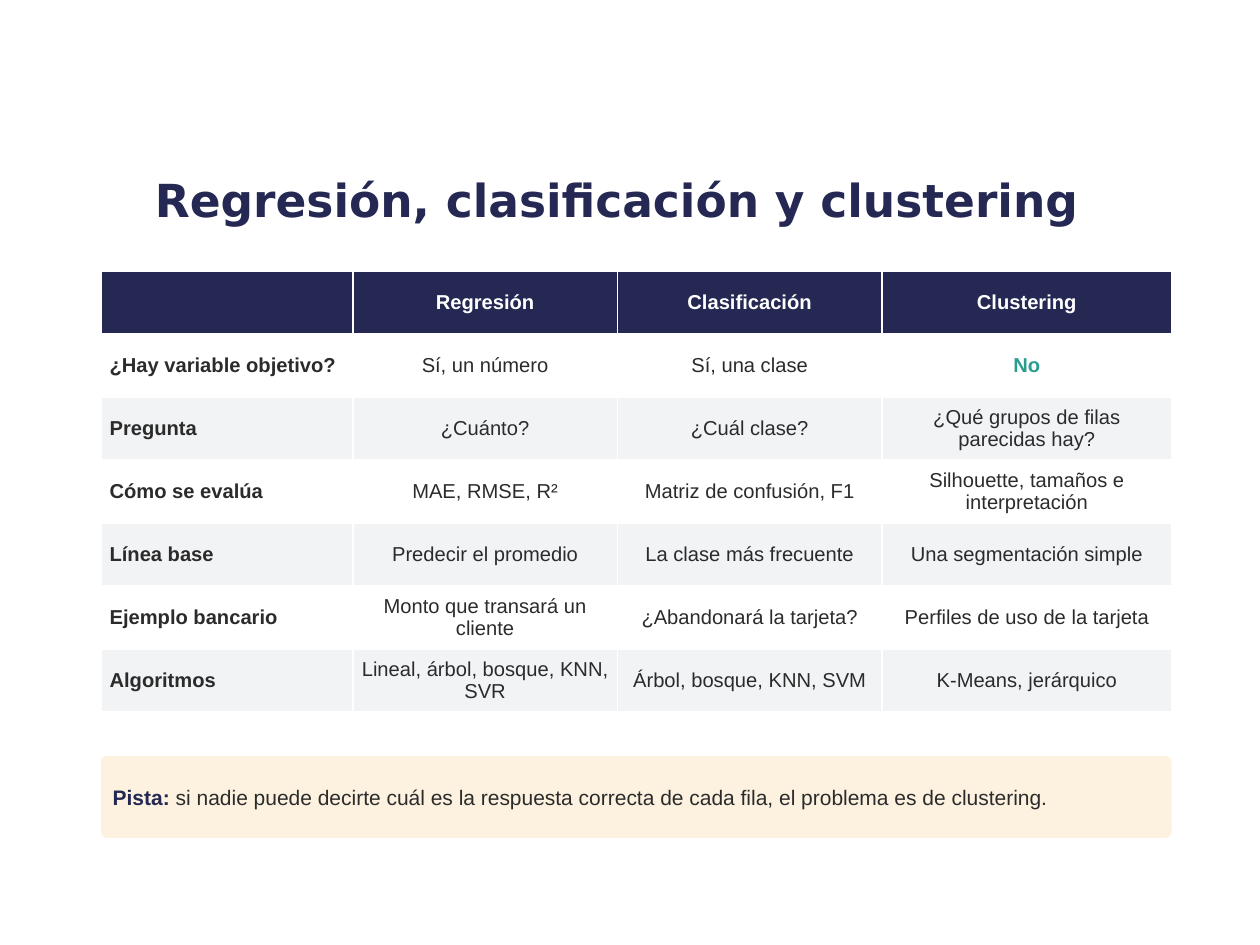
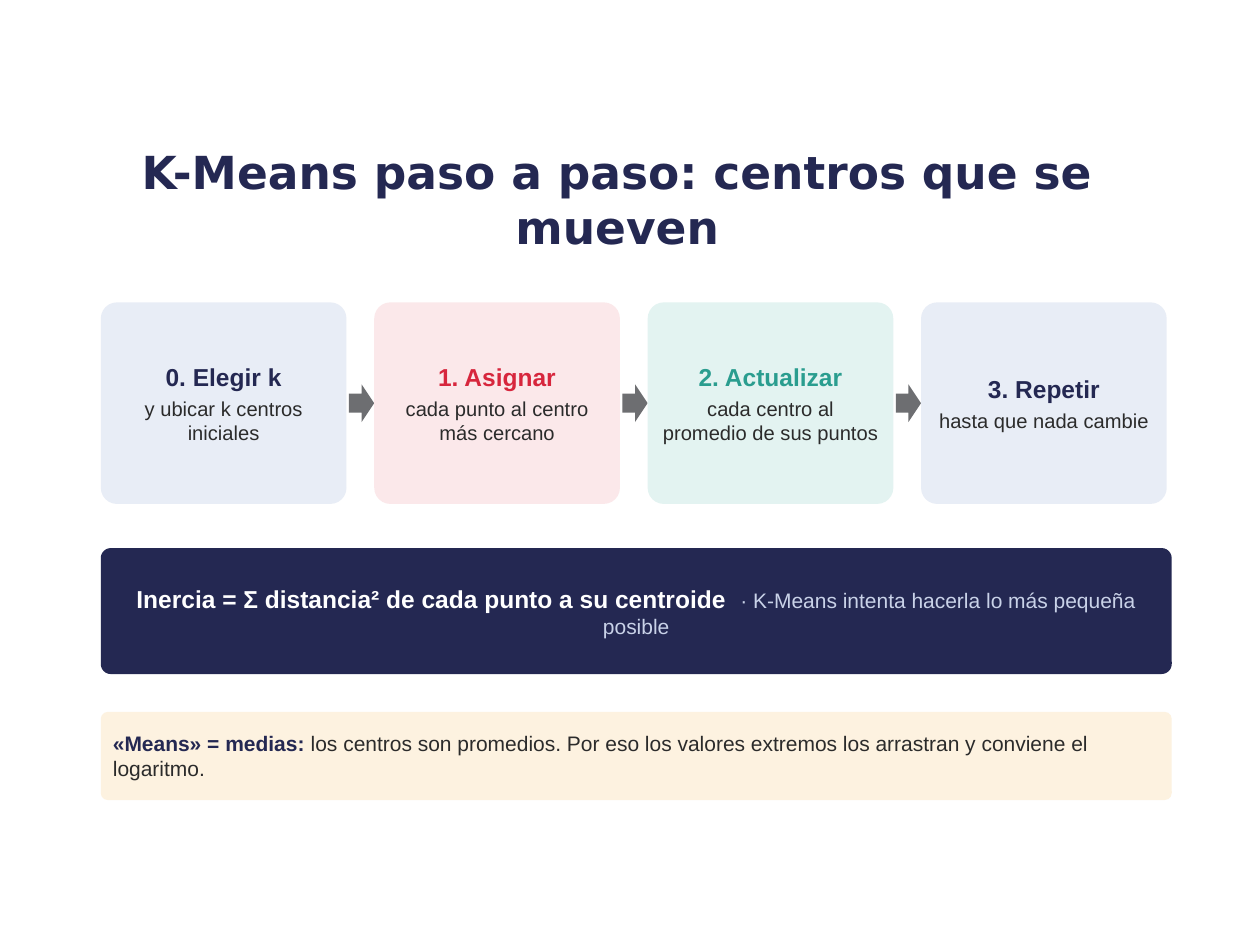
import pptx
import pptx.dml.color
import pptx.enum.shapes
import pptx.enum.text
import pptx.util

Pt = pptx.util.Pt
Color = pptx.dml.color.RGBColor
Shape = pptx.enum.shapes.MSO_SHAPE
Align = pptx.enum.text.PP_ALIGN
Anchor = pptx.enum.text.MSO_ANCHOR

# Shared colours
NAVY = Color(0x24, 0x28, 0x52)
INK = Color(0x2B, 0x2B, 0x2B)
WHITE = Color(0xFF, 0xFF, 0xFF)
TEAL = Color(0x2A, 0x9D, 0x8F)
RED = Color(0xD7, 0x26, 0x3D)
GREY = Color(0x6D, 0x6E, 0x71)
STRIPE = Color(0xF2, 0xF3, 0xF5)
CREAM = Color(0xFD, 0xF2, 0xE0)
PALE_BLUE = Color(0xE8, 0xED, 0xF6)
PALE_RED = Color(0xFB, 0xE8, 0xEA)
PALE_TEAL = Color(0xE3, 0xF3, 0xF1)
MIST = Color(0xC9, 0xD2, 0xE8)

# Shared layout and type
TITLE_FONT, BODY_FONT = "DejaVu Sans", "Arial"
LEFT, WIDTH = 57.6, 612
SMALL, NOTE, LARGE = 11.5, 12, 14

# Slide content
COLUMN_WIDTHS = [144, 151.2, 151.2, 165.6]
ROW_HEIGHT = 36
COMPARISON = [
    ["", "Regresión", "Clasificación", "Clustering"],
    ["¿Hay variable objetivo?", "Sí, un número", "Sí, una clase", "No"],
    ["Pregunta", "¿Cuánto?", "¿Cuál clase?", "¿Qué grupos de filas parecidas hay?"],
    ["Cómo se evalúa", "MAE, RMSE, R²", "Matriz de confusión, F1",
     "Silhouette, tamaños e interpretación"],
    ["Línea base", "Predecir el promedio", "La clase más frecuente", "Una segmentación simple"],
    ["Ejemplo bancario", "Monto que transará un cliente", "¿Abandonará la tarjeta?",
     "Perfiles de uso de la tarjeta"],
    ["Algoritmos", "Lineal, árbol, bosque, KNN, SVR", "Árbol, bosque, KNN, SVM",
     "K-Means, jerárquico"],
]
STEPS = [
    ("0. Elegir k", "y ubicar k centros iniciales", NAVY, PALE_BLUE),
    ("1. Asignar", "cada punto al centro más cercano", RED, PALE_RED),
    ("2. Actualizar", "cada centro al promedio de sus puntos", TEAL, PALE_TEAL),
    ("3. Repetir", "hasta que nada cambie", NAVY, PALE_BLUE),
]


def style_font(font, size, color, bold=False, name=BODY_FONT):
    font.name, font.size, font.bold = name, Pt(size), bold
    font.color.rgb = color


def add_title(page, text):
    box = page.shapes.add_textbox(Pt(54), Pt(84.96), Pt(597.6), Pt(57.6))
    frame = box.text_frame
    frame.word_wrap = True
    frame.vertical_anchor = Anchor.MIDDLE
    para = frame.paragraphs[0]
    para.text = text
    para.alignment = Align.CENTER
    style_font(para.font, 26, NAVY, True, TITLE_FONT)


def add_block(page, kind, left, top, width, height, fill):
    block = page.shapes.add_shape(kind, Pt(left), Pt(top), Pt(width), Pt(height))
    block.shadow.inherit = False
    block.fill.solid()
    block.fill.fore_color.rgb = fill
    block.line.fill.background()
    return block


def add_panel(page, left, top, width, height, fill, lines, align):
    """Rounded panel; each line is a list of (text, size, color, bold) spans."""
    panel = add_block(page, Shape.ROUNDED_RECTANGLE, left, top, width, height, fill)
    panel.adjustments[0] = 0.08
    frame = panel.text_frame
    frame.word_wrap = True
    frame.vertical_anchor = Anchor.MIDDLE
    frame.margin_left = frame.margin_right = Pt(5.76)
    frame.margin_top = frame.margin_bottom = Pt(5.76)
    for index, spans in enumerate(lines):
        para = frame.add_paragraph() if index else frame.paragraphs[0]
        para.alignment = align
        para.space_after = Pt(3)
        for text, *style in spans:
            span = para.add_run()
            span.text = text
            style_font(span.font, *style)


def add_note(page, top, height, lead, text):
    spans = [(lead, NOTE, NAVY, True), (text, NOTE, INK, False)]
    add_panel(page, LEFT, top, WIDTH, height, CREAM, [spans], Align.LEFT)


def fill_cell(cell, text, fill, color, bold, align):
    cell.fill.solid()
    cell.fill.fore_color.rgb = fill
    cell.vertical_anchor = Anchor.MIDDLE
    cell.margin_left = cell.margin_right = Pt(5.04)
    cell.margin_top = cell.margin_bottom = Pt(2.16)
    para = cell.text_frame.paragraphs[0]
    para.text = text
    para.alignment = align
    style_font(para.font, SMALL, color, bold)


def add_comparison(page, top):
    table = page.shapes.add_table(
        len(COMPARISON), len(COLUMN_WIDTHS), Pt(LEFT), Pt(top),
        Pt(WIDTH), Pt(ROW_HEIGHT * len(COMPARISON))).table
    for column, width in zip(table.columns, COLUMN_WIDTHS):
        column.width = Pt(width)
    for row, texts in enumerate(COMPARISON):
        table.rows[row].height = Pt(ROW_HEIGHT)
        for column, text in enumerate(texts):
            fill, color = (WHITE if row % 2 else STRIPE), INK
            if row == 0:
                fill, color = NAVY, WHITE
            elif text == "No":
                color = TEAL
            bold = column == 0 or color != INK
            align = Align.CENTER if column else Align.LEFT
            fill_cell(table.cell(row, column), text, fill, color, bold, align)


def add_steps(page, top):
    width, height, gap = 140.4, 115.2, 15.84
    arrow_width, arrow_height = 14.4, 21.6
    for index, (heading, detail, color, fill) in enumerate(STEPS):
        left = LEFT + index * (width + gap)
        if index:
            add_block(page, Shape.RIGHT_ARROW, left - arrow_width,
                      top + (height - arrow_height) / 2, arrow_width, arrow_height, GREY)
        lines = [[(heading, LARGE, color, True)], [(detail, SMALL, INK, False)]]
        add_panel(page, left, top, width, height, fill, lines, Align.CENTER)


def main():
    deck = pptx.Presentation()
    deck.slide_width, deck.slide_height = Pt(720), Pt(540)
    blank = deck.slide_layouts[6]

    # Comparison of the three problem types
    page = deck.slides.add_slide(blank)
    add_title(page, "Regresión, clasificación y clustering")
    add_comparison(page, 154.8)
    add_note(page, 432, 46.8, "Pista: ",
             "si nadie puede decirte cuál es la respuesta correcta de cada fila, "
             "el problema es de clustering.")

    # K-Means steps and inertia
    page = deck.slides.add_slide(blank)
    add_title(page, "K-Means paso a paso: centros que se mueven")
    add_steps(page, 172.8)
    inertia = [
        ("Inercia = Σ distancia² de cada punto a su centroide  ", LARGE, WHITE, True),
        ("· K-Means intenta hacerla lo más pequeña posible", NOTE, MIST, False),
    ]
    add_panel(page, LEFT, 313.2, WIDTH, 72, NAVY, [inertia], Align.CENTER)
    add_note(page, 406.8, 50.4, "«Means» = medias: ",
             "los centros son promedios. Por eso los valores extremos los arrastran "
             "y conviene el logaritmo.")

    deck.save("out.pptx")


if __name__ == "__main__":
    main()
